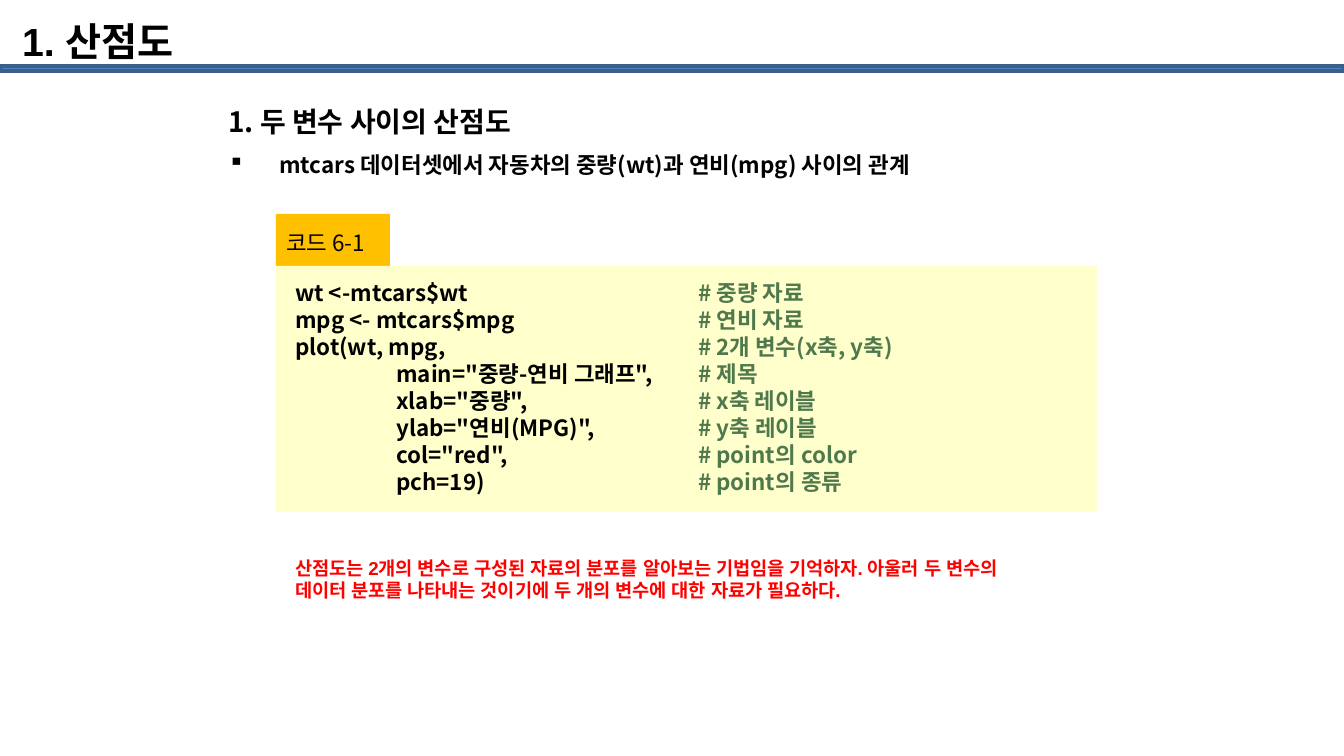
from lxml.etree import SubElement
from pptx import Presentation
from pptx.dml.color import RGBColor
from pptx.enum.shapes import MSO_SHAPE as Shape
from pptx.enum.text import MSO_ANCHOR as Anchor, MSO_AUTO_SIZE as AutoSize, PP_ALIGN as Align
from pptx.oxml.ns import qn
from pptx.util import Pt

EMU_PER_PX = 9144000 / 1344
BLACK = RGBColor(0x00, 0x00, 0x00)
RED = RGBColor(0xFF, 0x00, 0x00)
GREEN = RGBColor(0x4F, 0x78, 0x4C)
BLUE = RGBColor(0x4F, 0x81, 0xBD)
DARK_BLUE = RGBColor(0x3A, 0x5F, 0x8C)
AMBER = RGBColor(0xFF, 0xC0, 0x00)
CREAM = RGBColor(0xFF, 0xFF, 0xCC)
SANS, ARIAL = "Noto Sans CJK KR", "Arial"
CODE_SPACING = 14.5
CODE_TABS = (101, 403)

CODE = [
    ("wt <-mtcars$wt", "# 중량 자료"),
    ("mpg <- mtcars$mpg", "# 연비 자료"),
    ("plot(wt, mpg,", "# 2개 변수(x축, y축)"),
    ("\tmain=\"중량-연비 그래프\",", "# 제목"),
    ("\txlab=\"중량\",", "# x축 레이블"),
    ("\tylab=\"연비(MPG)\",", "# y축 레이블"),
    ("\tcol=\"red\",", "# point의 color"),
    ("\tpch=19)", "# point의 종류"),
]
NOTE = [
    "산점도는 2개의 변수로 구성된 자료의 분포를 알아보는 기법임을 기억하자. 아울러 두 변수의",
    "데이터 분포를 나타내는 것이기에 두 개의 변수에 대한 자료가 필요하다.",
]


def px(length):
    return round(length * EMU_PER_PX)


class SlideBuilder:
    def __init__(self, slide):
        self.slide = slide

    def rectangle(self, left, top, width, height, fill, line=None):
        shape = self.slide.shapes.add_shape(
            Shape.RECTANGLE, px(left), px(top), px(width), px(height))
        shape.shadow.inherit = False
        shape.fill.solid()
        shape.fill.fore_color.rgb = fill
        if line is None:
            shape.line.fill.background()
        else:
            shape.line.color.rgb = line
            shape.line.width = Pt(2)

    def title(self, text, left, top, width, height):
        shape = self.slide.shapes.title
        shape.left, shape.top, shape.width, shape.height = map(px, (left, top, width, height))
        frame = shape.text_frame
        frame.auto_size = AutoSize.NONE
        frame.vertical_anchor = Anchor.TOP
        frame.margin_left = frame.margin_right = px(9)
        frame.margin_top = frame.margin_bottom = px(5)
        self.format(frame.paragraphs[0], [(text, BLACK)], 21, ARIAL)

    def text_box(self, left, top, width, height):
        frame = self.slide.shapes.add_textbox(
            px(left), px(top), px(width), px(height)).text_frame
        frame.word_wrap = True
        frame.margin_right = 0
        return frame

    def paragraph(self, frame, runs, size, font=SANS, **style):
        first = frame.paragraphs[0]
        paragraph = frame.add_paragraph() if first.runs else first
        self.format(paragraph, runs, size, font, **style)

    def format(self, paragraph, runs, size, font, bold=True, spacing=None, tabs=(), hanging=0):
        paragraph.alignment = Align.LEFT
        paragraph.font.size = Pt(size)
        paragraph.font.bold = bold
        paragraph.font.name = font
        if spacing:
            paragraph.line_spacing = Pt(spacing)
        for text, color in runs:
            run = paragraph.add_run()
            run.text = text
            run.font.color.rgb = color

        # East Asian font, bullet and tab stops
        properties = paragraph._p.get_or_add_pPr()
        defaults = properties.find(qn("a:defRPr"))
        SubElement(defaults, qn("a:ea"), typeface=font)
        if hanging:
            properties.set("marL", str(px(hanging)))
            properties.set("indent", str(-px(hanging)))
            defaults.addprevious(SubElement(properties, qn("a:buChar"), char="▪"))
        if tabs:
            tab_list = SubElement(properties, qn("a:tabLst"))
            for position in tabs:
                SubElement(tab_list, qn("a:tab"), pos=str(px(position)), algn="l")
            defaults.addprevious(tab_list)


def main():
    presentation = Presentation()
    presentation.slide_width, presentation.slide_height = px(1344), px(756)
    builder = SlideBuilder(presentation.slides.add_slide(presentation.slide_layouts[5]))

    # Title and rule
    builder.rectangle(0, 66, 1344, 5, BLUE, DARK_BLUE)
    builder.title("1. 산점도", 13, 12, 1159, 75)

    # Section heading and topic
    body = builder.text_box(215, 87, 942, 100)
    builder.paragraph(body, [("1. 두 변수 사이의 산점도", BLACK)], 15, spacing=24)
    builder.paragraph(body, [("mtcars 데이터셋에서 자동차의 중량(wt)과 연비(mpg) 사이의 관계", BLACK)],
                      12, spacing=21, hanging=51)

    # Code panel with its label
    builder.rectangle(276, 214, 114, 52, AMBER)
    builder.rectangle(276, 266, 821, 246, CREAM)
    label = builder.text_box(273, 222, 114, 40)
    builder.paragraph(label, [("코드 6-1", BLACK)], 12, bold=False, spacing=CODE_SPACING)
    listing = builder.text_box(282, 272, 782, 231)
    for code, comment in CODE:
        builder.paragraph(listing, [(code + "\t", BLACK), (comment, GREEN)], 12,
                          spacing=CODE_SPACING, tabs=CODE_TABS)

    # Closing note
    note = builder.text_box(282, 550, 814, 59)
    for line in NOTE:
        builder.paragraph(note, [(line, RED)], 10, ARIAL)

    presentation.save("out.pptx")


if __name__ == "__main__":
    main()
